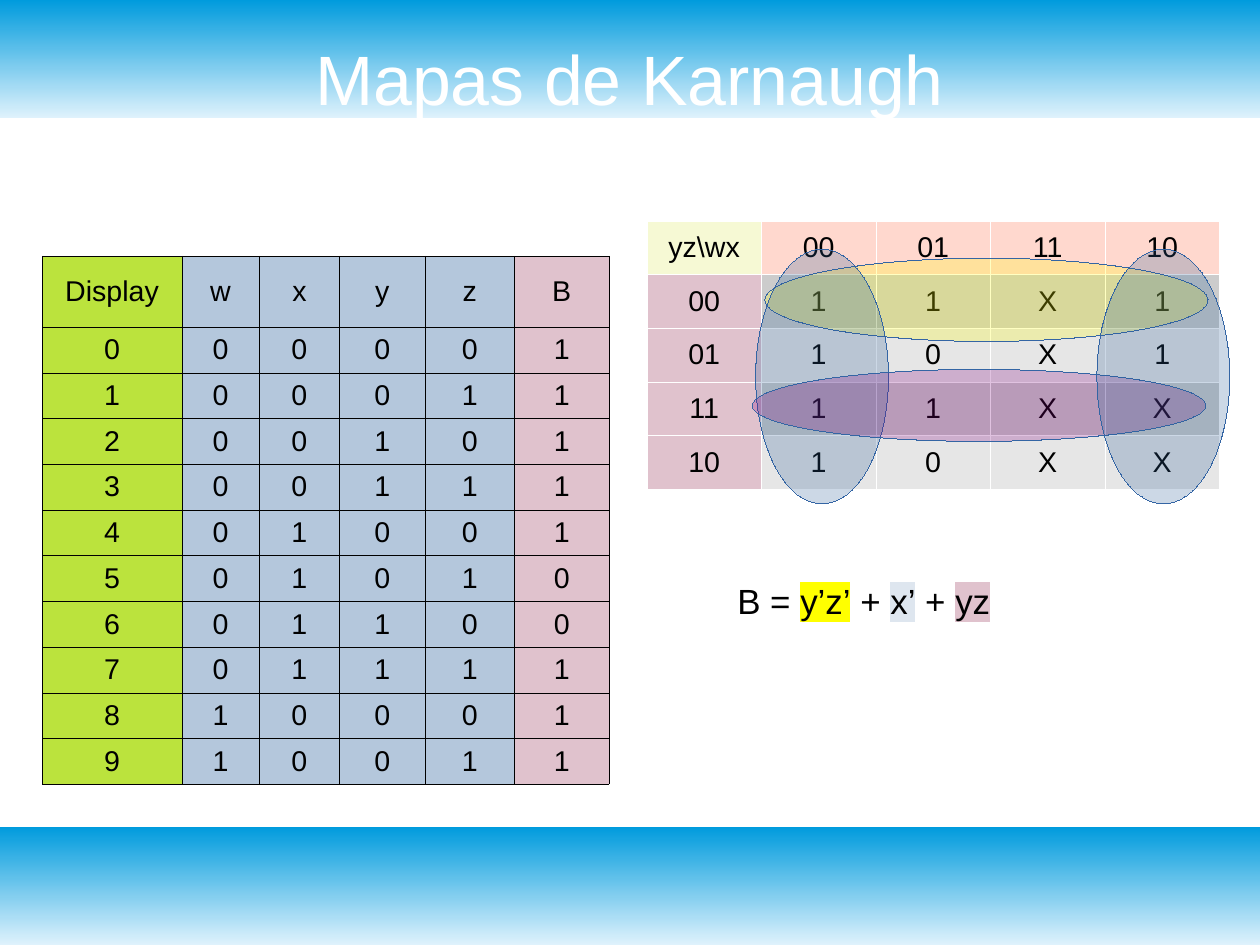
from lxml import etree
from pptx import Presentation
from pptx.dml.color import RGBColor
from pptx.enum.shapes import MSO_SHAPE
from pptx.enum.text import MSO_ANCHOR, PP_ALIGN
from pptx.oxml.ns import qn
from pptx.util import Emu, Inches, Pt

CENTER, MIDDLE = PP_ALIGN.CENTER, MSO_ANCHOR.MIDDLE
RECTANGLE, OVAL = MSO_SHAPE.RECTANGLE, MSO_SHAPE.OVAL

SLIDE_WIDTH, SLIDE_HEIGHT = Emu(10080625), Emu(7559675)
WIDTH, HEIGHT = SLIDE_WIDTH.inches, SLIDE_HEIGHT.inches
BAND_HEIGHT = HEIGHT / 8
FONT = "Arial"
BLACK, WHITE = "000000", "FFFFFF"
GREEN, BLUE, PINK = "BBE33D", "B4C7DC", "E0C2CD"
CREAM, SALMON, GREYS = "F6F9D4", "FFD8CE", ("E6E6E6", "CCCCCC")
OUTLINE = "3465A4"

TITLE = "Mapas de Karnaugh"
TRUTH_HEADER = ["Display", "w", "x", "y", "z", "B"]
SEGMENT_B = "1111100111"
TRUTH_ROWS = [TRUTH_HEADER] + [
    [str(digit), *format(digit, "04b"), output] for digit, output in enumerate(SEGMENT_B)
]
TRUTH_COLUMNS = [1.22, 0.68, 0.7, 0.75, 0.78, 0.83]
TRUTH_HEIGHTS = [0.62] + [0.4] * len(SEGMENT_B)
TRUTH_FILLS = [GREEN] + [BLUE] * 4 + [PINK]

MAP_ROWS = [
    ["yz\\wx", "00", "01", "11", "10"],
    ["00", "1", "1", "X", "1"],
    ["01", "1", "0", "X", "1"],
    ["11", "1", "1", "X", "X"],
    ["10", "1", "0", "X", "X"],
]
MAP_LEFT, MAP_TOP, MAP_COLUMN, MAP_ROW = 5.66, 1.93, 5.01 / 5, 2.35 / 5

YZ_ZERO_GROUP = (1.03, 0.7, 3.87, 1.55, "FFFF00")
X_ZERO_LEFT_GROUP = (0.95, 0.53, 1.16, 4.74, "2A6099")
YZ_ONE_GROUP = (0.92, 2.77, 3.96, 1.34, "800080")
X_ZERO_RIGHT_GROUP = (3.93, 0.53, 1.16, 4.74, "2A6099")

FORMULA = [("B = ", None), ("y’z’", "FFFF00"), (" + ", None), ("x’", "DEE6EF"),
           (" + ", None), ("yz", PINK), (" ", None)]


def color(value):
    return RGBColor.from_string(value)


def add_run(paragraph, text, size, value=BLACK, highlight=None):
    run = paragraph.add_run()
    run.text = text
    run.font.size = Pt(size)
    run.font.color.rgb = color(value)
    run.font.name = FONT
    if highlight:
        mark = etree.Element(qn("a:highlight"))
        etree.SubElement(mark, qn("a:srgbClr"), val=highlight)
        run.font._element.find(qn("a:solidFill")).addnext(mark)


def set_borders(cell, value):
    properties = cell._tc.get_or_add_tcPr()
    for index, side in enumerate(("lnL", "lnR", "lnT", "lnB")):
        line = etree.Element(qn("a:" + side), w=str(int(Pt(0.06))))
        fill = etree.SubElement(line, qn("a:solidFill"))
        etree.SubElement(fill, qn("a:srgbClr"), val=value)
        properties.insert(index, line)


def add_grid(slide, left, top, columns, heights, rows, fill_for, border):
    table = slide.shapes.add_table(
        len(rows), len(columns), Inches(left), Inches(top),
        Inches(sum(columns)), Inches(sum(heights))).table
    table.first_row = table.horz_banding = False
    for column, width in zip(table.columns, columns):
        column.width = Inches(width)
    for row, height in zip(table.rows, heights):
        row.height = Inches(height)
    for r, texts in enumerate(rows):
        for c, text in enumerate(texts):
            cell = table.cell(r, c)
            cell.vertical_anchor = MIDDLE
            cell.fill.solid()
            cell.fill.fore_color.rgb = color(fill_for(r, c))
            set_borders(cell, border)
            paragraph = cell.text_frame.paragraphs[0]
            paragraph.alignment = CENTER
            add_run(paragraph, text, 18)


def map_fill(row, column):
    if row == 0:
        return SALMON if column else CREAM
    return GREYS[row % 2] if column else PINK


def add_band(slide, top, position):
    band = slide.shapes.add_shape(RECTANGLE, 0, Inches(top), SLIDE_WIDTH, Inches(BAND_HEIGHT))
    band.shadow.inherit = False
    band.line.fill.background()
    band.fill.gradient()
    band.fill.gradient_angle = 90
    for stop, value, place in zip(band.fill.gradient_stops, ("DFF2FC", "009BDD"), (0, 1)):
        stop.color.rgb = color(value)
        stop.position = place
    slide.shapes._spTree.insert(position, band._element)


def add_group(slide, column, row, columns, rows, value):
    oval = slide.shapes.add_shape(
        OVAL, Inches(MAP_LEFT + column * MAP_COLUMN), Inches(MAP_TOP + row * MAP_ROW),
        Inches(columns * MAP_COLUMN), Inches(rows * MAP_ROW))
    oval.shadow.inherit = False
    oval.fill.solid()
    oval.fill.fore_color.rgb = color(value)
    properties = oval._element.spPr
    tint = properties.find(qn("a:solidFill"))[0]
    etree.SubElement(tint, qn("a:alpha"), val="24000")
    oval.line.color.rgb = color(OUTLINE)
    properties.find(qn("a:ln")).set("w", "0")


def add_title(slide):
    title = slide.shapes.title
    title.left, title.top = Inches(WIDTH * 0.05), Inches(0.33)
    title.width, title.height = Inches(WIDTH * 0.9), Inches(0.7)
    frame = title.text_frame
    frame.margin_left = frame.margin_right = frame.margin_top = frame.margin_bottom = 0
    frame.vertical_anchor = MIDDLE
    frame.paragraphs[0].alignment = CENTER
    add_run(frame.paragraphs[0], TITLE, 44, WHITE)


def add_formula(slide):
    box = slide.shapes.add_textbox(Inches(5.87), Inches(4.66), Inches(3.46), Inches(1.18))
    frame = box.text_frame
    frame.word_wrap = True
    frame.vertical_anchor = MIDDLE
    paragraph = frame.paragraphs[0]
    paragraph.alignment = CENTER
    for text, highlight in FORMULA:
        add_run(paragraph, text, 22, highlight=highlight)


def main():
    presentation = Presentation()
    presentation.slide_width, presentation.slide_height = SLIDE_WIDTH, SLIDE_HEIGHT
    slide = presentation.slides.add_slide(presentation.slide_layouts[5])
    add_title(slide)
    for position, top in enumerate((0, HEIGHT - BAND_HEIGHT), start=2):
        add_band(slide, top, position)
    add_grid(slide, MAP_LEFT, MAP_TOP, [MAP_COLUMN] * 5, [MAP_ROW] * 5,
             MAP_ROWS, map_fill, WHITE)
    add_grid(slide, 0.37, 2.24, TRUTH_COLUMNS, TRUTH_HEIGHTS,
             TRUTH_ROWS, lambda row, column: TRUTH_FILLS[column], BLACK)
    for group in (YZ_ZERO_GROUP, X_ZERO_LEFT_GROUP, YZ_ONE_GROUP):
        add_group(slide, *group)
    add_formula(slide)
    add_group(slide, *X_ZERO_RIGHT_GROUP)
    presentation.save("out.pptx")


if __name__ == "__main__":
    main()
